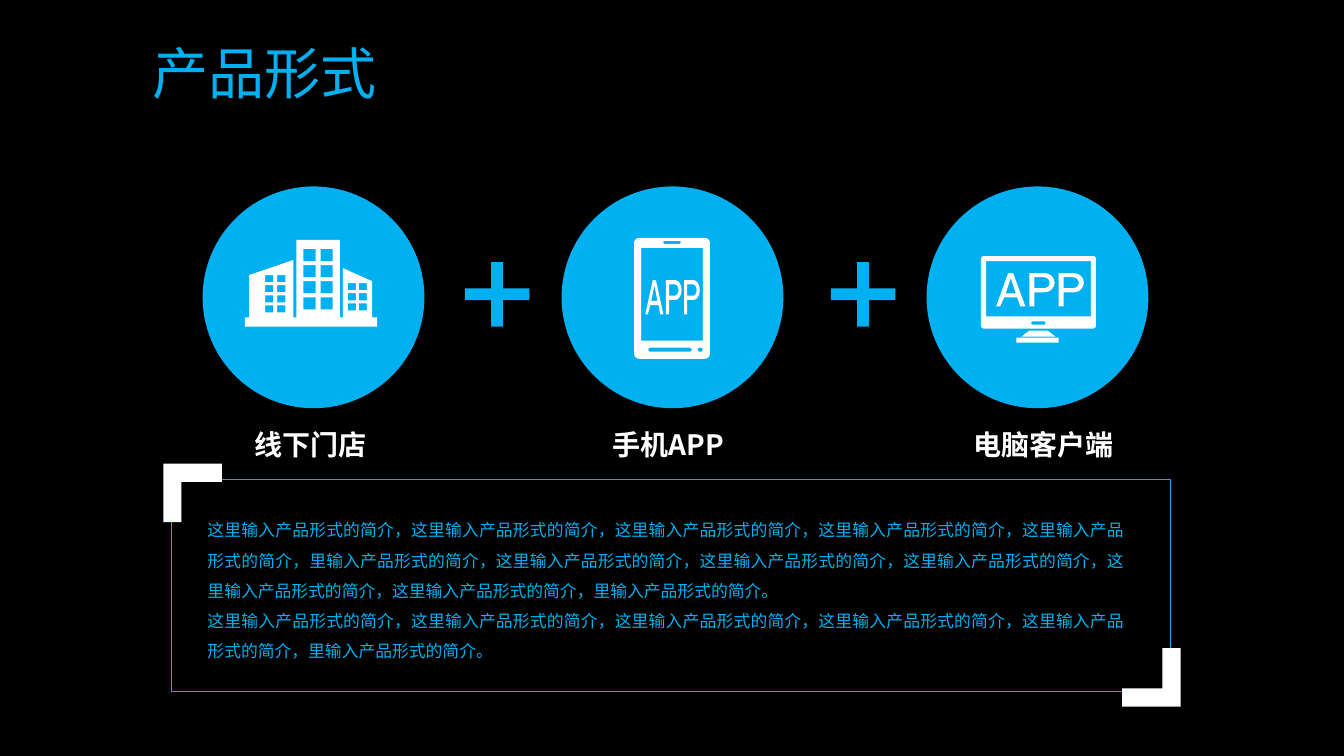
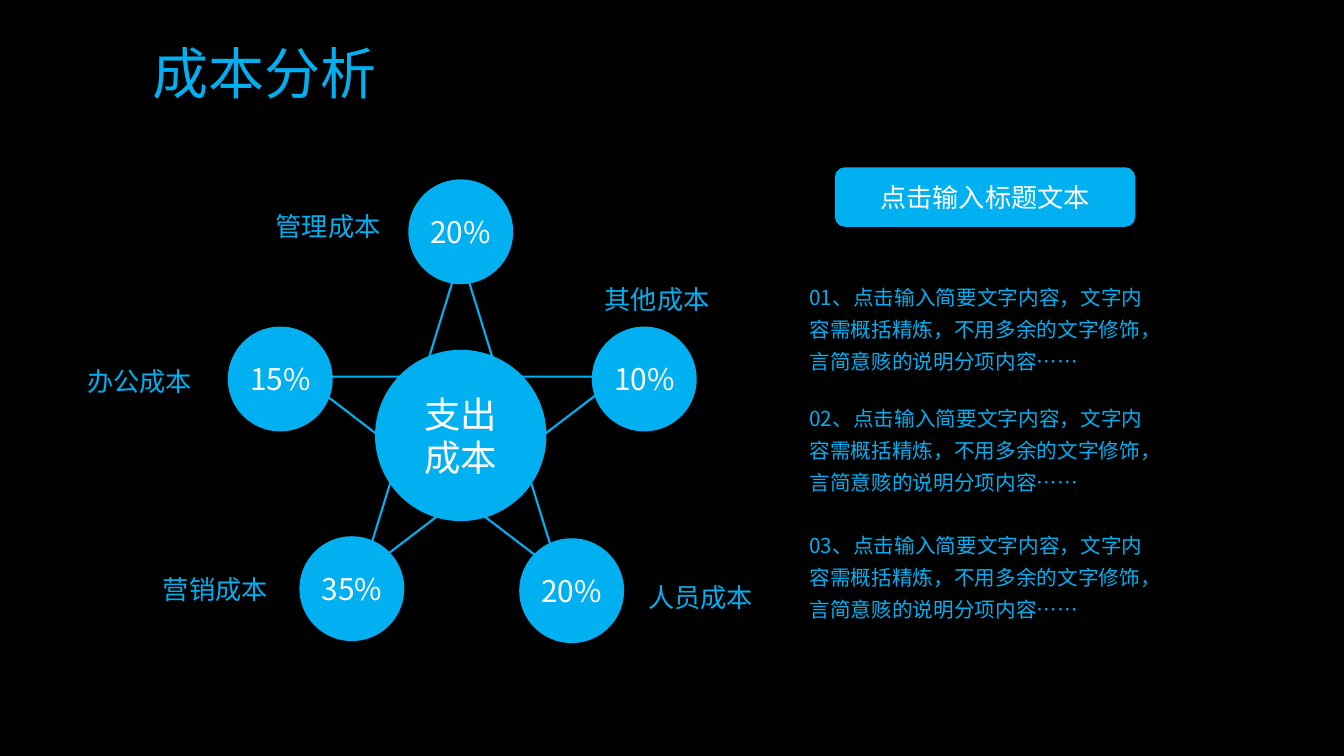
from dataclasses import dataclass
from math import cos, pi, sin

from lxml import etree
from pptx import Presentation
from pptx.dml.color import RGBColor
from pptx.enum import shapes as es, text as et
from pptx.oxml import ns
from pptx.util import Inches, Pt

FONT = "Noto Sans CJK SC"
BLUE, WHITE, BLACK = "00B0F0", "FFFFFF", "000000"
SHAPE = es.MSO_SHAPE
LEFT, MID, JUST = et.PP_ALIGN.LEFT, et.PP_ALIGN.CENTER, et.PP_ALIGN.JUSTIFY
Path = list[tuple[float, float]]


@dataclass
class Style:
    size: float
    color: str = BLUE
    align: et.PP_ALIGN = LEFT
    space: float | None = None
    bold: bool = False


@dataclass
class Form:
    left: float
    label: str
    start: float
    icon: list[Path]


@dataclass
class Cost:
    left: float
    top: float
    share: str
    name: str
    x: float
    y: float
    align: et.PP_ALIGN = MID


TITLE = Style(40)
LABEL = Style(20, WHITE, MID, bold=True)
INTRO = Style(12, align=JUST, space=1.5)
SHARE = Style(21.3, WHITE, MID)
HUB = Style(26, WHITE, MID)
HEAD = Style(18.7, WHITE, MID)
POINT = Style(14.7, space=1.3)


def rgb(color: str) -> RGBColor:
    return RGBColor.from_string(color)


def write(frame, lines: list[str], style: Style) -> None:
    for n, line in enumerate(lines):
        para = frame.add_paragraph() if n else frame.paragraphs[0]
        para.text = line
        para.alignment = style.align
        if style.space:
            para.line_spacing = style.space
        font = para.font
        font.size, font.bold, font.name = Pt(style.size), style.bold, FONT
        font.color.rgb = rgb(style.color)
        props = para._p.get_or_add_pPr().find(ns.qn("a:defRPr"))
        etree.SubElement(props, ns.qn("a:ea")).set("typeface", FONT)


def trim(frame) -> None:
    frame.margin_left = frame.margin_right = 0
    frame.margin_top = frame.margin_bottom = 0


def note(slide, box: tuple, lines: list[str], style: Style,
         wrap: bool = True, flush: bool = False) -> None:
    frame = slide.shapes.add_textbox(*map(Inches, box)).text_frame
    frame.word_wrap = wrap
    frame.auto_size = et.MSO_AUTO_SIZE.SHAPE_TO_FIT_TEXT
    if flush:
        trim(frame)
    write(frame, lines, style)


def paint(shape, fill: str | None, line: str | None = None,
          width: float = 0) -> None:
    shape.shadow.inherit = False
    if fill:
        shape.fill.solid()
        shape.fill.fore_color.rgb = rgb(fill)
    else:
        shape.fill.background()
    if line:
        shape.line.color.rgb = rgb(line)
        shape.line.width = Pt(width)
    else:
        shape.line.fill.background()


def block(slide, kind, box: tuple, fill: str | None = BLUE,
          line: str | None = None, width: float = 0):
    shape = slide.shapes.add_shape(kind, *map(Inches, box))
    paint(shape, fill, line, width)
    return shape


def badge(slide, kind, box: tuple, lines: list[str], style: Style) -> None:
    frame = block(slide, kind, box).text_frame
    trim(frame)
    frame.word_wrap = True
    frame.vertical_anchor = et.MSO_ANCHOR.MIDDLE
    write(frame, lines, style)


def draw(slide, paths: list[Path], fill: str = WHITE) -> None:
    build = None
    for path in paths:
        first, *rest = [(Inches(x), Inches(y)) for x, y in path]
        if build is None:
            build = slide.shapes.build_freeform(*first)
        else:
            build.move_to(*first)
        build.add_line_segments(rest, close=True)
    paint(build.convert_to_shape(), fill)


def arc(x: float, y: float, rx: float, ry: float,
        start: float, turn: float) -> Path:
    steps = 10
    angles = [start + turn * n / steps for n in range(steps + 1)]
    return [(x + rx * cos(a), y + ry * sin(a)) for a in angles]


def rect(x: float, y: float, w: float, h: float) -> Path:
    return [(x, y), (x + w, y), (x + w, y + h), (x, y + h)]


def pill(x: float, y: float, w: float, h: float, r: float) -> Path:
    mids = rect(x + r, y + r, w - 2 * r, h - 2 * r)
    return [dot for n, (cx, cy) in enumerate(mids)
            for dot in arc(cx, cy, r, r, pi + n * pi / 2, pi / 2)]


def panes(cols: tuple, top: float, step: float, rows: int,
          w: float, h: float) -> list[Path]:
    return [rect(x, top + step * n, w, h) for x in cols for n in range(rows)]


def word(x: float, y: float, w: float, h: float) -> list[Path]:
    paths = [
        [(0, 33), (12, 0), (17, 0), (29, 33), (24, 33), (21, 24),
         (8, 24), (4, 33)],
        [(9.5, 20), (14.5, 5), (19.5, 20)],
    ]
    for left in (33, 62):
        paths.append([(left, 33), (left, 0),
                      *arc(left + 15, 9.5, 10, 9.5, -pi / 2, pi),
                      (left + 5, 19), (left + 5, 33)])
        paths.append([(left + 5, 4),
                      *arc(left + 14, 9.5, 6, 5.5, -pi / 2, pi),
                      (left + 5, 15)])
    return [[(x + a * w / 87, y + b * h / 33) for a, b in path]
            for path in paths]


def store() -> list[Path]:
    walls = [(3.69, 3.15), (3.69, 2.79), (3.4, 2.66), (3.4, 3.15),
             (3.37, 3.15), (3.37, 2.38), (2.94, 2.38), (2.94, 3.15),
             (2.91, 3.15), (2.91, 2.58), (2.47, 2.73), (2.47, 3.15),
             (2.43, 3.15), (2.43, 3.24), (3.74, 3.24), (3.74, 3.15)]
    return [walls,
            *panes((2.63, 2.75), 2.73, 0.1, 4, 0.08, 0.07),
            *panes((3.01, 3.18), 2.47, 0.16, 4, 0.12, 0.12),
            *panes((3.45, 3.56), 2.81, 0.1, 3, 0.08, 0.07)]


def phone() -> list[Path]:
    return [pill(6.29, 2.36, 0.75, 1.2, 0.05),
            pill(6.58, 2.39, 0.17, 0.03, 0.01),
            pill(6.43, 3.45, 0.43, 0.04, 0.02),
            pill(6.92, 3.45, 0.05, 0.04, 0.02),
            rect(6.36, 2.46, 0.61, 0.92),
            *word(6.4, 2.78, 0.54, 0.34)]


def screen() -> list[Path]:
    return [pill(9.73, 2.54, 1.14, 0.72, 0.03),
            rect(9.78, 2.59, 1.04, 0.55),
            pill(10.23, 3.19, 0.14, 0.03, 0.01),
            [(10.47, 3.34), (10.13, 3.34), (10.21, 3.28), (10.39, 3.28)],
            rect(10.08, 3.35, 0.42, 0.05),
            *word(9.88, 2.71, 0.87, 0.33)]


def corner(x: float, y: float, way: int) -> Path:
    arms = [(0, 0), (0.58, 0), (0.58, 0.18), (0.18, 0.18),
            (0.18, 0.58), (0, 0.58)]
    return [(x + way * a, y + way * b) for a, b in arms]


def page(deck, title: str):
    slide = deck.slides.add_slide(deck.slide_layouts[6])
    back = slide.background.fill
    back.solid()
    back.fore_color.rgb = rgb(BLACK)
    note(slide, (1.51, 0.38, 3.83, 0.67), [title], TITLE, flush=True)
    return slide


def product(deck) -> None:
    slide = page(deck, "产品形式")
    for left in (4.61, 8.24):
        plus = block(slide, SHAPE.CROSS, (left, 2.6, 0.64, 0.64))
        plus.adjustments[0] = 0.41
    full, short = "这里输入产品形式的简介", "里输入产品形式的简介"
    intro = ["，".join([full] * 5 + [short] + [full] * 5 + [short]) + "。",
             "，".join([full] * 5 + [short]) + "。"]
    note(slide, (1.96, 5.01, 9.3, 1.62), intro, INTRO)
    block(slide, SHAPE.RECTANGLE, (1.7, 4.76, 9.91, 2.1), None, BLUE, 0.75)
    draw(slide, [corner(1.62, 4.6, 1)])
    draw(slide, [corner(11.71, 7.01, -1)])
    forms = [Form(2.01, "线下门店", 2.17, store()),
             Form(5.57, "手机APP", 5.72, phone()),
             Form(9.19, "电脑客户端", 9.44, screen())]
    for form in forms:
        block(slide, SHAPE.OVAL, (form.left, 1.85, 2.2, 2.2))
        draw(slide, form.icon)
        note(slide, (form.start, 4.19, 1.82, 0.44), [form.label], LABEL)


def budget(deck) -> None:
    slide = page(deck, "成本分析")
    block(slide, SHAPE.STAR_5_POINT, (2.99, 2.53, 3.16, 3.16),
          None, BLUE, 1.5)
    badge(slide, SHAPE.OVAL, (3.72, 3.47, 1.7, 1.7), ["支出", "成本"], HUB)
    costs = [Cost(2.26, 3.24, "15%", "办公成本", 0.76, 3.57),
             Cost(4.05, 1.78, "20%", "管理成本", 2.63, 2.04),
             Cost(5.87, 3.24, "10%", "其他成本", 5.9, 2.76, LEFT),
             Cost(5.15, 5.34, "20%", "人员成本", 6.33, 5.72, LEFT),
             Cost(2.97, 5.32, "35%", "营销成本", 1.51, 5.64)]
    for cost in costs:
        badge(slide, SHAPE.OVAL, (cost.left, cost.top, 1.04, 1.04),
              [cost.share], SHARE)
        note(slide, (cost.x, cost.y, 1.25, 0.42), [cost.name],
             Style(18.7, align=cost.align), wrap=False)
    badge(slide, SHAPE.ROUNDED_RECTANGLE, (8.28, 1.66, 2.98, 0.59),
          ["点击输入标题文本"], HEAD)
    body = ("点击输入简要文字内容，文字内容需概括精炼，"
            "不用多余的文字修饰，言简意赅的说明分项内容……")
    for n, top in enumerate((2.7, 3.9, 5.16), 1):
        note(slide, (7.93, top, 3.67, 1.06), [f"{n:02}、{body}"], POINT)


def main() -> None:
    deck = Presentation()
    deck.slide_width, deck.slide_height = Inches(13.33), Inches(7.5)
    product(deck)
    budget(deck)
    deck.save("out.pptx")


if __name__ == "__main__":
    main()
